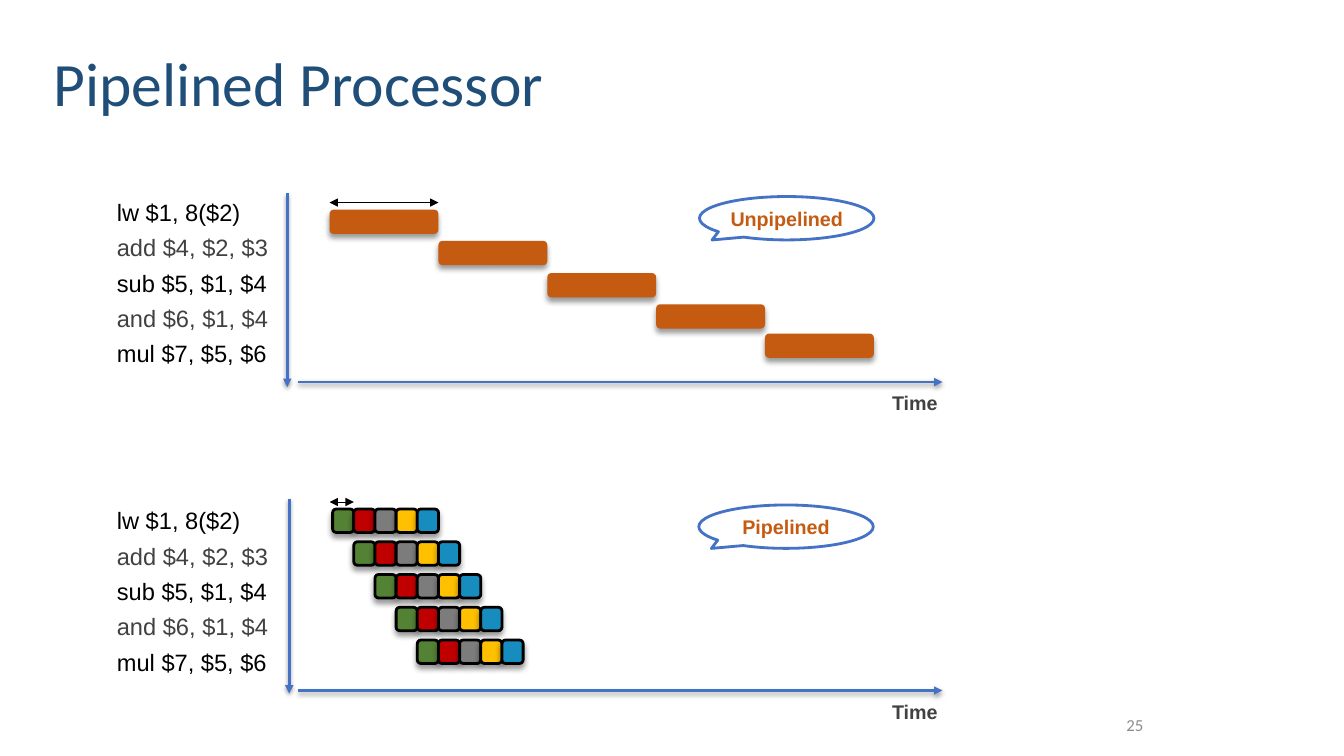
from dataclasses import dataclass

from lxml.etree import SubElement
from pptx import Presentation
from pptx.dml.color import RGBColor
from pptx.enum.shapes import MSO_CONNECTOR as Connector, MSO_SHAPE as Preset
from pptx.enum.text import MSO_ANCHOR as Anchor, PP_ALIGN as Align
from pptx.oxml.ns import qn
from pptx.util import Pt


@dataclass(frozen=True)
class Theme:
    title: str = "1F4E79"
    ink: str = "000000"
    soft: str = "414141"
    muted: str = "8C8C8C"
    paper: str = "FFFFFF"
    axis: str = "4472C4"
    bar: str = "C55A11"
    stages: tuple = ("548235", "C00000", "7C7C7C", "FFC000", "168DBE")
    heading_font: str = "Calibri"
    body_font: str = "Arial"
    title_size: float = 44
    code_size: float = 16.9
    label_size: float = 14.1
    number_size: float = 12


THEME = Theme()
INSTRUCTIONS = (
    "lw $1, 8($2)",
    "add $4, $2, $3",
    "sub $5, $1, $4",
    "and $6, $1, $4",
    "mul $7, $5, $6",
)
BLOCK_SHADOW = (4, 3, 40)
AXIS_SHADOW = (3, 1.6, 38)
LOWER_SHIFT = 220.3
BAR_LEFT, BAR_WIDTH, BAR_HEIGHT = 235.4, 77.76, 17.3
BAR_TOPS = (149.8, 172.1, 195.1, 217.4, 238.3)
STAGE_LEFT, STAGE_TOP = 237.6, 363.6
STAGE_WIDTH, STAGE_HEIGHT, STAGE_STEP = 15.12, 16.7, 23.4


def set_effects(shape, shadow=None):
    effects = SubElement(shape._element.spPr, qn("a:effectLst"))
    if shadow:
        blur, distance, opacity = shadow
        outer = SubElement(
            effects, qn("a:outerShdw"), blurRad=str(Pt(blur)),
            dist=str(Pt(distance)), dir="5400000", rotWithShape="0")
        color = SubElement(outer, qn("a:srgbClr"), val=THEME.ink)
        SubElement(color, qn("a:alpha"), val=str(opacity * 1000))


def add_span(para, text, size, color, font=THEME.body_font, bold=False):
    span = para.add_run()
    span.text = text
    span.font.size = Pt(size)
    span.font.name = font
    span.font.bold = bold
    span.font.color.rgb = RGBColor.from_string(color)


def set_insets(frame, inset):
    frame.margin_left = frame.margin_right = Pt(inset)
    frame.margin_top = frame.margin_bottom = Pt(inset)


def add_box(page, left, top, width, height, anchor=Anchor.TOP):
    box = page.shapes.add_textbox(Pt(left), Pt(top), Pt(width), Pt(height))
    frame = box.text_frame
    frame.word_wrap = True
    frame.vertical_anchor = anchor
    return frame


def add_block(page, preset, left, top, width, height, fill, line=None):
    block = page.shapes.add_shape(
        preset, Pt(left), Pt(top), Pt(width), Pt(height))
    block.fill.solid()
    block.fill.fore_color.rgb = RGBColor.from_string(fill)
    if line:
        block.line.color.rgb = RGBColor.from_string(line)
        block.line.width = Pt(2)
    else:
        block.line.fill.background()
    return block


def add_arrow(page, start, end, color, weight, heads, shadow=None):
    arrow = page.shapes.add_connector(
        Connector.STRAIGHT, *(Pt(value) for value in start + end))
    arrow.line.color.rgb = RGBColor.from_string(color)
    arrow.line.width = Pt(weight)
    for head in heads:
        SubElement(arrow.line._get_or_add_ln(), qn(head), type="triangle")
    set_effects(arrow, shadow)


def add_axis(page, start, end):
    add_arrow(page, start, end, THEME.axis, 2, ("a:tailEnd",), AXIS_SHADOW)


def add_span_arrow(page, left, right, top):
    add_arrow(page, (left, top), (right, top), THEME.ink, 0.5,
              ("a:headEnd", "a:tailEnd"))


def add_callout(page, text, left, top):
    callout = add_block(page, Preset.OVAL_CALLOUT, left, top, 124.6, 31,
                        THEME.paper, THEME.axis)
    callout.adjustments[0] = -0.428
    callout.adjustments[1] = 0.501
    set_effects(callout)
    frame = callout.text_frame
    frame.word_wrap = False
    frame.vertical_anchor = Anchor.MIDDLE
    set_insets(frame, 2.9)
    para = frame.paragraphs[0]
    para.alignment = Align.CENTER
    add_span(para, text, THEME.label_size, THEME.bar, bold=True)


def add_code(page, top):
    frame = add_box(page, 80.6, top, 145.4, 133.2)
    set_insets(frame, 2.9)
    for index, instruction in enumerate(INSTRUCTIONS):
        para = frame.add_paragraph() if index else frame.paragraphs[0]
        para.line_spacing = 1.25
        add_span(para, instruction, THEME.code_size,
                 THEME.soft if index % 2 else THEME.ink)


def add_panel(page, shift):
    add_axis(page, (213.1, 272.9 + shift), (673.2, 272.9 + shift))
    frame = add_box(page, 634.3, 276.5 + shift, 44, 22.3)
    set_insets(frame, 2.9)
    add_span(frame.paragraphs[0], "Time", THEME.label_size, THEME.soft,
             bold=True)
    add_code(page, 133.2 + shift)


def add_unpipelined(page):
    for index, top in enumerate(BAR_TOPS):
        bar = add_block(page, Preset.ROUNDED_RECTANGLE,
                        BAR_LEFT + index * BAR_WIDTH, top,
                        BAR_WIDTH, BAR_HEIGHT, THEME.bar)
        set_effects(bar, BLOCK_SHADOW)
    add_axis(page, (205.2, 138.2), (205.2, 276.5))
    add_panel(page, 0)
    add_callout(page, "Unpipelined", 499.7, 140.4)
    add_span_arrow(page, BAR_LEFT, BAR_LEFT + BAR_WIDTH, 144.7)


def add_pipelined(page):
    for row in range(len(INSTRUCTIONS)):
        for column, color in enumerate(THEME.stages):
            stage = add_block(page, Preset.ROUNDED_RECTANGLE,
                              STAGE_LEFT + (row + column) * STAGE_WIDTH,
                              STAGE_TOP + row * STAGE_STEP,
                              STAGE_WIDTH, STAGE_HEIGHT, color, THEME.ink)
            set_effects(stage, BLOCK_SHADOW)
    add_axis(page, (206.6, 356.4), (206.6, 495.4))
    add_panel(page, LOWER_SHIFT)
    add_callout(page, "Pipelined", 499.2, 360.7)
    add_span_arrow(page, BAR_LEFT, STAGE_LEFT + STAGE_WIDTH, 358.6)


def add_title(page):
    frame = add_box(page, 31, -15.1, 828, 104.4, Anchor.BOTTOM)
    para = frame.paragraphs[0]
    para.line_spacing = 0.9
    add_span(para, "Pipelined Processor", THEME.title_size, THEME.title,
             THEME.heading_font)


def add_page_number(page):
    frame = add_box(page, 656, 503.3, 167.8, 28.8, Anchor.MIDDLE)
    para = frame.paragraphs[0]
    para.alignment = Align.RIGHT
    add_span(para, "25", THEME.number_size, THEME.muted, THEME.heading_font)


def main():
    deck = Presentation()
    deck.slide_width, deck.slide_height = Pt(960), Pt(540)
    page = deck.slides.add_slide(deck.slide_layouts[6])
    add_title(page)
    add_unpipelined(page)
    add_pipelined(page)
    add_page_number(page)
    deck.save("out.pptx")


if __name__ == "__main__":
    main()
